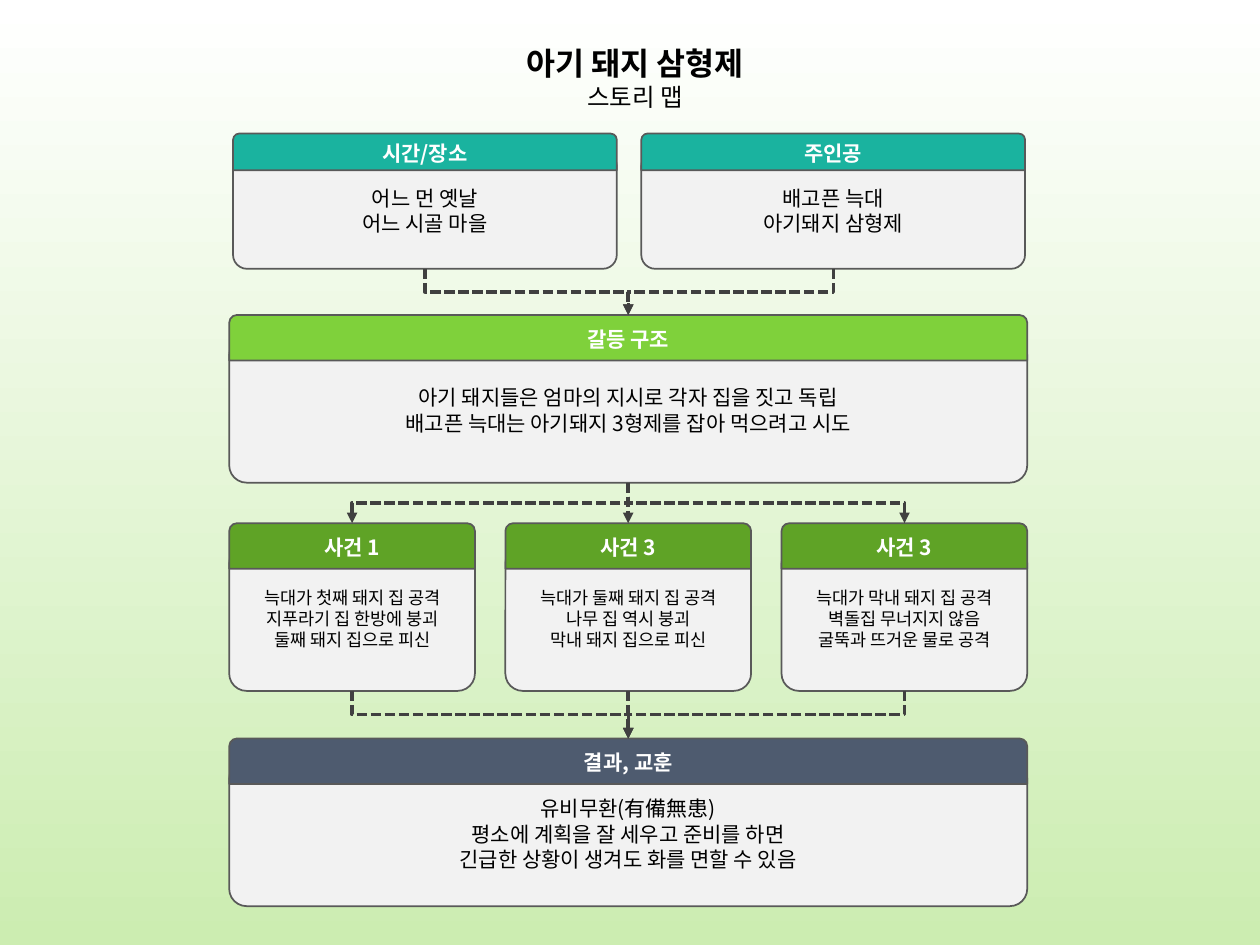
from collections import namedtuple

from lxml.etree import SubElement
from pptx import Presentation
from pptx.dml.color import RGBColor
from pptx.enum.dml import MSO_LINE
from pptx.enum.shapes import MSO_CONNECTOR, MSO_SHAPE
from pptx.enum.text import MSO_ANCHOR, MSO_AUTO_SIZE, PP_ALIGN
from pptx.oxml.ns import qn
from pptx.util import Pt

WHITE = RGBColor(0xFF, 0xFF, 0xFF)
BLACK = RGBColor(0x00, 0x00, 0x00)
PALE_GREEN = RGBColor(0xCC, 0xED, 0xB1)
PANEL = RGBColor(0xF2, 0xF2, 0xF2)
OUTLINE = RGBColor(0x59, 0x59, 0x59)
ARROW = RGBColor(0x40, 0x40, 0x40)
TEAL = RGBColor(0x1A, 0xB3, 0x9F)
LIME = RGBColor(0x7F, 0xD1, 0x3B)
GREEN = RGBColor(0x5F, 0xA3, 0x26)
SLATE = RGBColor(0x4E, 0x5B, 0x6F)

Card = namedtuple("Card", "body header")


class StoryMap:
    font = "Noto Sans CJK KR"

    def __init__(self, slide):
        self.s = slide

    def background(self, top, bottom):
        fill = self.s.background.fill
        fill.gradient()
        fill.gradient_angle = 270
        for stop, color in zip(fill.gradient_stops, (top, bottom)):
            stop.color.rgb = color

    def style(self, p, size, color, bold=False):
        p.alignment = PP_ALIGN.CENTER
        p.font.size = Pt(size)
        p.font.bold = bold
        p.font.color.rgb = color
        p.font.name = self.font
        # Korean text takes its typeface from the East Asian slot
        def_rpr = p._p.pPr.find(qn("a:defRPr"))
        SubElement(def_rpr, qn("a:ea"), typeface=self.font)

    def title(self, heading, subtitle):
        sp = self.s.shapes.title
        sp.left, sp.top, sp.width, sp.height = Pt(180), Pt(21.6), Pt(365.8), Pt(46)
        tf = sp.text_frame
        tf.text = f"{heading}\n{subtitle}"
        tf.word_wrap = True
        tf.auto_size = MSO_AUTO_SIZE.NONE
        tf.vertical_anchor = MSO_ANCHOR.TOP
        self.style(tf.paragraphs[0], 18, BLACK, bold=True)
        self.style(tf.paragraphs[1], 14, BLACK)

    def box(self, kind, corners, left, top, width, height, fill, text, size, color, bold=False):
        sp = self.s.shapes.add_shape(kind, Pt(left), Pt(top), Pt(width), Pt(height))
        for i, corner in enumerate(corners):
            sp.adjustments[i] = corner
        sp.shadow.inherit = False
        sp.fill.solid()
        sp.fill.fore_color.rgb = fill
        sp.line.color.rgb = OUTLINE
        sp.line.width = Pt(1)
        tf = sp.text_frame
        tf.word_wrap = True
        tf.vertical_anchor = MSO_ANCHOR.MIDDLE
        tf.text = text
        for p in tf.paragraphs:
            self.style(p, size, color, bold)
        return sp

    def card(self, left, top, width, heading, text, color, size=12, header=26, body=82.8):
        """Draw a panel whose upper edge is hidden behind the middle of its header."""
        panel = self.box(MSO_SHAPE.ROUNDED_RECTANGLE, [0.12], left, top + header / 2,
                         width, body, PANEL, text, size, BLACK)
        band = self.box(MSO_SHAPE.ROUND_2_SAME_RECTANGLE, [0.17, 0], left, top,
                        width, header, color, heading, 12, WHITE, bold=True)
        return Card(panel, band)

    def link(self, source, target):
        """Run a dashed arrow from a card's bottom to the top of the card below."""
        start, end = source.body, target.header
        x1, y1 = start.left + start.width // 2, start.top + start.height
        x2, y2 = end.left + end.width // 2, end.top
        dx, dy = x2 - x1, y2 - y1
        if abs(dx) < Pt(1):
            line = self.s.shapes.add_connector(MSO_CONNECTOR.STRAIGHT, x1, y1, x1, y2)
            line.begin_connect(start, 2)
        else:
            # An elbow leaves sideways, so it is laid flat and turned to point down
            mid_x, mid_y, half = (x1 + x2) // 2, (y1 + y2) // 2, abs(dx) // 2
            line = self.s.shapes.add_connector(
                MSO_CONNECTOR.ELBOW, mid_x - dy // 2, mid_y - half,
                mid_x + dy // 2, mid_y + half)
            xfrm = line._element.spPr.find(qn("a:xfrm"))
            xfrm.set("rot", str((270 if dx > 0 else 90) * 60000))
            if dx > 0:
                xfrm.set("flipH", "1")
        line.line.color.rgb = ARROW
        line.line.width = Pt(0)
        line.line.dash_style = MSO_LINE.SQUARE_DOT
        sp_pr = line._element.spPr
        SubElement(sp_pr.find(qn("a:ln")), qn("a:tailEnd"), type="triangle")
        SubElement(sp_pr, qn("a:effectLst"))


def main():
    prs = Presentation()
    prs.slide_width, prs.slide_height = Pt(720), Pt(540)
    story = StoryMap(prs.slides.add_slide(prs.slide_layouts[5]))
    story.background(WHITE, PALE_GREEN)
    story.title("아기 돼지 삼형제", "스토리 맵")

    left, width = 131, 456
    settings = [
        story.card(133.2 + i * 233.3, 76.3, 219.3, heading, text, TEAL, header=21, body=66.8)
        for i, (heading, text) in enumerate([
            ("시간/장소", "어느 먼 옛날\n어느 시골 마을"),
            ("주인공", "배고픈 늑대\n아기돼지 삼형제"),
        ])
    ]
    conflict = story.card(
        left, 180, width, "갈등 구조",
        "아기 돼지들은 엄마의 지시로 각자 집을 짓고 독립\n"
        "배고픈 늑대는 아기돼지 3형제를 잡아 먹으려고 시도", LIME)

    gap = 17.4
    event_width = (width - 2 * gap) / 3
    events = [
        story.card(left + i * (event_width + gap), 299, event_width, heading, text, GREEN, size=10)
        for i, (heading, text) in enumerate([
            ("사건 1", "늑대가 첫째 돼지 집 공격\n지푸라기 집 한방에 붕괴\n둘째 돼지 집으로 피신"),
            ("사건 3", "늑대가 둘째 돼지 집 공격\n나무 집 역시 붕괴\n막내 돼지 집으로 피신"),
            ("사건 3", "늑대가 막내 돼지 집 공격\n벽돌집 무너지지 않음\v굴뚝과 뜨거운 물로 공격"),
        ])
    ]
    outcome = story.card(
        left, 422, width, "결과, 교훈",
        "유비무환(有備無患)\n평소에 계획을 잘 세우고 준비를 하면\n"
        "긴급한 상황이 생겨도 화를 면할 수 있음", SLATE)

    for setting in settings:
        story.link(setting, conflict)
    for event in events:
        story.link(conflict, event)
        story.link(event, outcome)

    prs.save("out.pptx")


if __name__ == "__main__":
    main()
